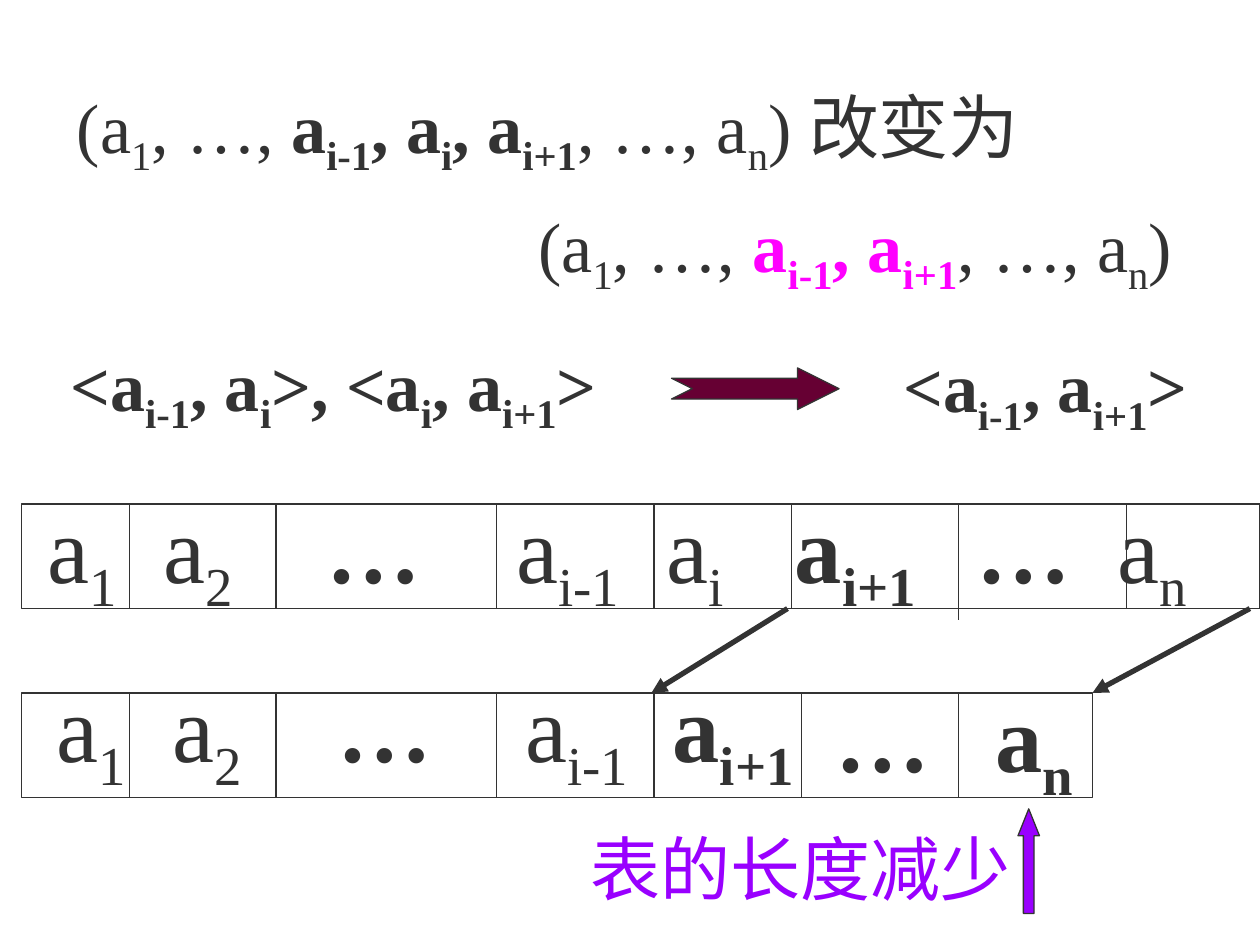
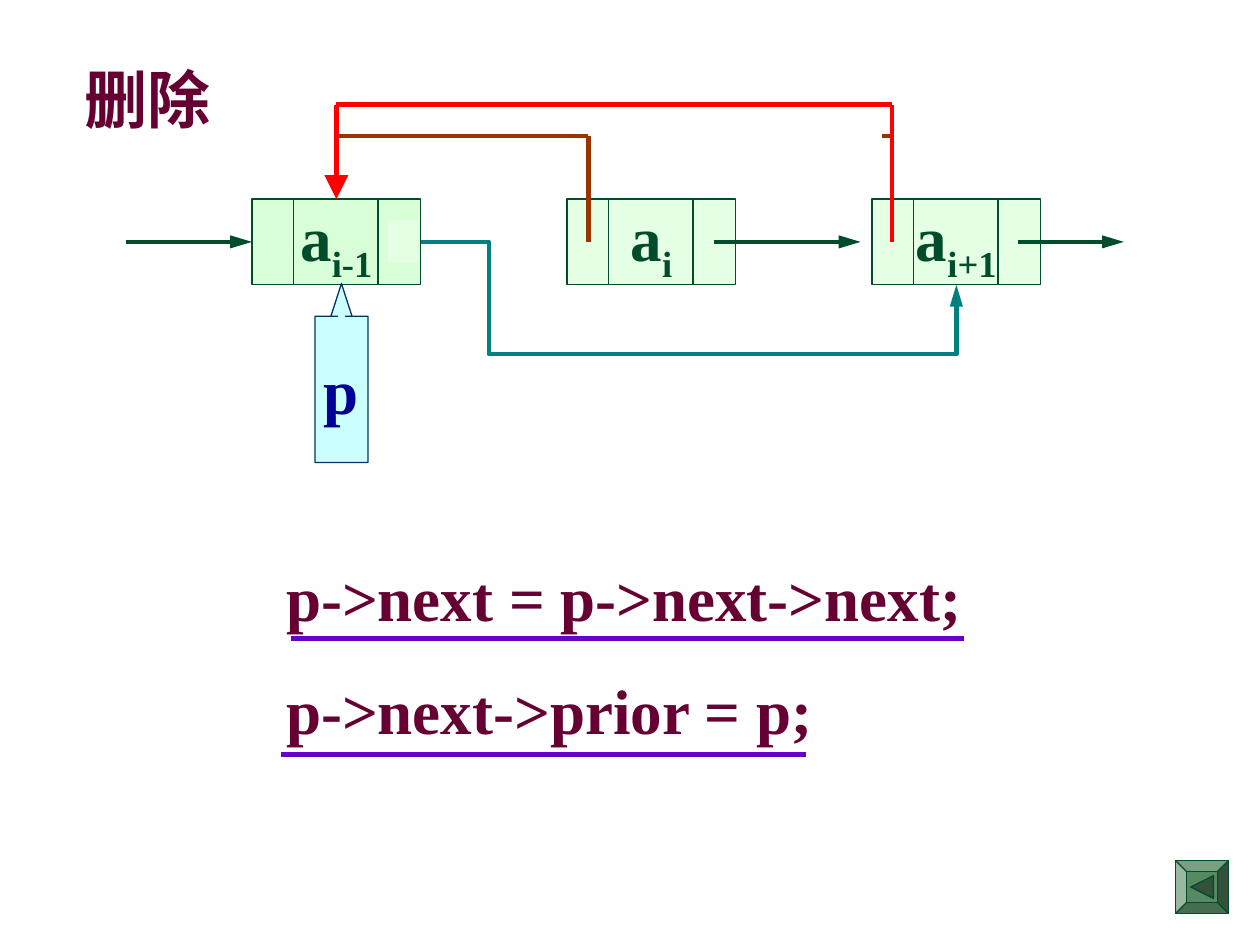
from lxml import etree
from pptx import Presentation, util as u
from pptx.dml.color import RGBColor
from pptx.enum import shapes as sh, text as tx
from pptx.oxml.ns import qn

FONT = "Times New Roman"
HEX = {"ink": "333333", "pink": "FF00FF", "wine": "660033", "violet": "9900FF",
       "green": "004C2B", "mint": "E5FFE5", "deep": "D9FFD9", "rust": "993300",
       "red": "FF0000", "teal": "008080", "rule": "6600CC", "sky": "CCFFFF",
       "navy": "003366", "blue": "000099", "moss": "578963", "dark": "34523B"}

# Text pieces are (words, bold, colour); each starts on the base line,
# and "|" switches between base line and subscript
OLD = [("(a|1|, …, ", False, "ink"), ("a|i-1|, a|i|, a|i+1", True, "ink"),
       (", …, a|n|) 改变为", False, "ink")]
NEW = [("(a|1|, …,", False, "ink"), (" a|i-1|, a|i+1", True, "pink"),
       (", …, a|n|)", False, "ink")]
PAIRS = [(0.46, 2.66, 4.7, "<a|i-1|, a|i|>, <a|i|, a|i+1|>"),
         (7.07, 2.67, 2.8, "<a|i-1|, a|i+1|>")]

# Each array: top, right edge, dividers (x, length), labels (x, top, words, bold)
LEFT, TALL = 0.17, 0.83
ARRAYS = [
    (4, 10, [(x, TALL) for x in (1.03, 2.19, 3.94, 5.19, 6.28, 8.94)] + [(7.61, 0.92)],
     [(0.28, 3.83, "a|1", False), (1.2, 3.83, "a|2", False), (2.49, 3.83, "…", True),
      (4, 3.83, "a|i-1", False), (5.19, 3.83, "a|i", False), (6.21, 3.83, "a|i+1", True),
      (7.65, 3.83, "…", True), (8.77, 3.83, "a|n", False)]),
    (5.5, 8.67, [(x, TALL) for x in (1.03, 2.19, 3.94, 5.19, 6.36, 7.61)],
     [(0.35, 5.25, "a|1", False), (1.27, 5.25, "a|2", False), (2.58, 5.25, "…", True),
      (4.07, 5.25, "a|i-1", False), (5.24, 5.25, "a|i+1", True),
      (6.53, 5.33, "…", True), (7.8, 5.33, "a|n", True)]),
]
MOVES = [((6.25, 4.83), (5.17, 5.5)), ((9.92, 4.83), (8.67, 5.5))]

# Linked list
NODES = [(2, "a|i-1", "deep"), (4.5, "a|i", "mint"), (6.92, "a|i+1", "mint")]
TOP, WIDE, HIGH = 1.58, 1.34, 0.68
MID = TOP + HIGH / 2
LINKS = [(5.67, 6.83), (8.08, 8.92)]
CODE = ["p->next = p->next->next;", "p->next->prior = p;"]
RULES = [(2.31, 7.65, 5.07), (2.23, 6.4, 5.99)]


def color(name):
    return RGBColor.from_string(HEX[name])


def write(par, words, size, name, bold=False):
    for i, part in enumerate(words.split("|")):
        run = par.add_run()
        run.text = part
        font = run.font
        font.name, font.size, font.bold = FONT, u.Pt(size), bold
        font.color.rgb = color(name)
        if i % 2:
            run._r.get_or_add_rPr().set("baseline", "-25000")


def place(item, x, y, w, h):
    item.left, item.top, item.width, item.height = map(u.Inches, (x, y, w, h))


def label(slide, x, y, w, h, words, size, name, bold=False):
    box = slide.shapes.add_textbox(*map(u.Inches, (x, y, w, h)))
    box.text_frame.word_wrap = False
    write(box.text_frame.paragraphs[0], words, size, name, bold)


def holder(item, area):
    place(item, *area)
    frame = item.text_frame
    frame.auto_size = tx.MSO_AUTO_SIZE.NONE
    frame.vertical_anchor = tx.MSO_ANCHOR.TOP
    frame.word_wrap = True
    return frame


def form(slide, kind, area, fill, edge=None, adj=()):
    item = slide.shapes.add_shape(kind, *map(u.Inches, area))
    item.shadow.inherit = False
    if fill:
        item.fill.solid()
        item.fill.fore_color.rgb = color(fill)
    else:
        item.fill.background()
    if edge:
        item.line.color.rgb = color(edge)
        item.line.width = u.Pt(0.75)
    else:
        item.line.fill.background()
    for i, val in enumerate(adj):
        item.adjustments[i] = val
    return item


def center(item, words, name):
    frame = item.text_frame
    frame.word_wrap = False
    frame.vertical_anchor = tx.MSO_ANCHOR.MIDDLE
    par = frame.paragraphs[0]
    par.alignment = tx.PP_ALIGN.CENTER
    write(par, words, 36, name, True)


def link(slide, a, b, name, width, head=None, kind=sh.MSO_CONNECTOR.STRAIGHT):
    """Draw a line; head is the (width, length) of its arrowhead."""
    line = slide.shapes.add_connector(kind, *map(u.Inches, a + b))
    line.line.color.rgb = color(name)
    line.line.width = u.Pt(width)
    prop = line._element.spPr
    if head:
        etree.SubElement(prop.find(qn("a:ln")), qn("a:tailEnd"),
                         type="triangle", w=head[0], len=head[1])
    etree.SubElement(prop, qn("a:effectLst"))
    return line


def chain(slide, points, name, width, head=None):
    last = len(points) - 2
    for i, (a, b) in enumerate(zip(points, points[1:])):
        line = link(slide, a, b, name, width, head if i == last else None)
    return line


def array_slide(deck):
    slide = deck.slides.add_slide(deck.slide_layouts[5])

    # Sequence before and after
    frame = holder(slide.shapes.title, (0.43, 0.42, 8.97, 2))
    frame.margin_left = u.Inches(0.18)
    for i, pieces in enumerate((OLD, NEW)):
        par = frame.add_paragraph() if i else frame.paragraphs[0]
        par.alignment = tx.PP_ALIGN.RIGHT if i else tx.PP_ALIGN.LEFT
        par.line_spacing = 1.25
        for words, bold, name in pieces:
            write(par, words, 40, name, bold)

    # Neighbour pairs
    for x, y, wide, words in PAIRS:
        label(slide, x, y, wide, 0.86, words, 40, "ink", True)
    form(slide, sh.MSO_SHAPE.NOTCHED_RIGHT_ARROW, (5.33, 2.92, 1.33, 0.33),
         "wine", "ink", (0.5, 1))

    # Storage arrays
    for top, right, cuts, names in ARRAYS:
        form(slide, sh.MSO_SHAPE.RECTANGLE, (LEFT, top, right - LEFT, TALL), None, "ink")
        for x, size in cuts:
            link(slide, (x, top), (x, top + size), "ink", 0.75)
        for x, y, words, bold in names:
            label(slide, x, y, min(1.6, 10 - x), 1.13, words, 54, "ink", bold)
    for a, b in MOVES:
        link(slide, a, b, "ink", 3, ("med", "med"))

    # Remark
    label(slide, 4.59, 6.5, 3.53, 0.77, "表的长度减少", 40, "violet")
    form(slide, sh.MSO_SHAPE.UP_ARROW, (8.08, 6.42, 0.17, 0.83), "violet", "ink", (0.5, 1.25))


def link_slide(deck):
    slide = deck.slides.add_slide(deck.slide_layouts[1])
    long = ("med", "lg")

    # Title and code
    frame = holder(slide.shapes.title, (0.57, 0.43, 1.6, 0.7))
    frame.paragraphs[0].alignment = tx.PP_ALIGN.LEFT
    write(frame.paragraphs[0], "删除", 36, "wine", True)
    frame = holder(slide.placeholders[1], (2.17, 4.08, 6.5, 1.9))
    for i, words in enumerate(CODE):
        par = frame.add_paragraph() if i else frame.paragraphs[0]
        par.line_spacing, par.space_before = 1.5, u.Pt(0)
        prop = par._p.get_or_add_pPr()
        prop.set("marL", "0")
        prop.set("indent", "0")
        etree.SubElement(prop, qn("a:buNone"))
        write(par, words, 36, "wine", True)
    for x, end, y in RULES:
        link(slide, (x, y), (end, y), "rule", 3)

    # Nodes with prior and next fields
    nodes = []
    for x, words, fill in NODES:
        node = form(slide, sh.MSO_SHAPE.RECTANGLE, (x, TOP, WIDE, HIGH), fill, "green")
        center(node, words, "green")
        nodes.append(node)
        for cut in (x + 0.33, x + 1):
            link(slide, (cut, TOP), (cut, TOP + HIGH), "green", 0.75)
    form(slide, sh.MSO_SHAPE.RECTANGLE, (3.08, 1.75, 0.24, 0.33), "mint")

    # Next links
    line = link(slide, (1, MID), (2, MID), "green", 2.5, long)
    line.end_connect(nodes[0], 1)
    for x, end in LINKS:
        link(slide, (x, MID), (end, MID), "green", 2.5, long)
    bent = link(slide, (2 + WIDE, MID), (7.59, TOP + HIGH), "teal", 2.5, long,
                sh.MSO_CONNECTOR.ELBOW)
    geom = bent._element.spPr.find(qn("a:prstGeom"))
    geom.set("prst", "bentConnector4")
    marks = geom.find(qn("a:avLst"))
    if marks is None:
        marks = etree.SubElement(geom, qn("a:avLst"))
    for key, val in (("adj1", 12700), ("adj2", 262000)):
        etree.SubElement(marks, qn("a:gd"), name=key, fmla=f"val {val}")

    # Prior links
    chain(slide, [(4.67, MID), (4.67, 1.08), (2.67, 1.08)], "rust", 2.5)
    link(slide, (7.08, 1.08), (7, 1.08), "rust", 2.5)
    line = chain(slide, [(7.08, MID), (7.08, 0.83), (2.67, 0.83), (2.67, TOP)],
                 "red", 2.75, ("lg", "lg"))
    line.end_connect(nodes[0], 0)

    # Pointer
    call = form(slide, sh.MSO_SHAPE.UP_ARROW_CALLOUT, (2.5, 2.25, 0.42, 1.42),
                "sky", "navy", (0.15, 0.2, 0.62, 0.82))
    center(call, "p", "blue")

    # Back button
    form(slide, sh.MSO_SHAPE.BEVEL, (9.33, 6.83, 0.42, 0.42), "moss", "green", (0.21,))
    tip = form(slide, sh.MSO_SHAPE.ISOSCELES_TRIANGLE, (9.45, 6.95, 0.18, 0.18), "dark", "green")
    tip.rotation = 270


def main():
    deck = Presentation()
    deck.slide_width, deck.slide_height = u.Inches(10), u.Inches(7.5)
    array_slide(deck)
    link_slide(deck)
    deck.save("out.pptx")


if __name__ == "__main__":
    main()
